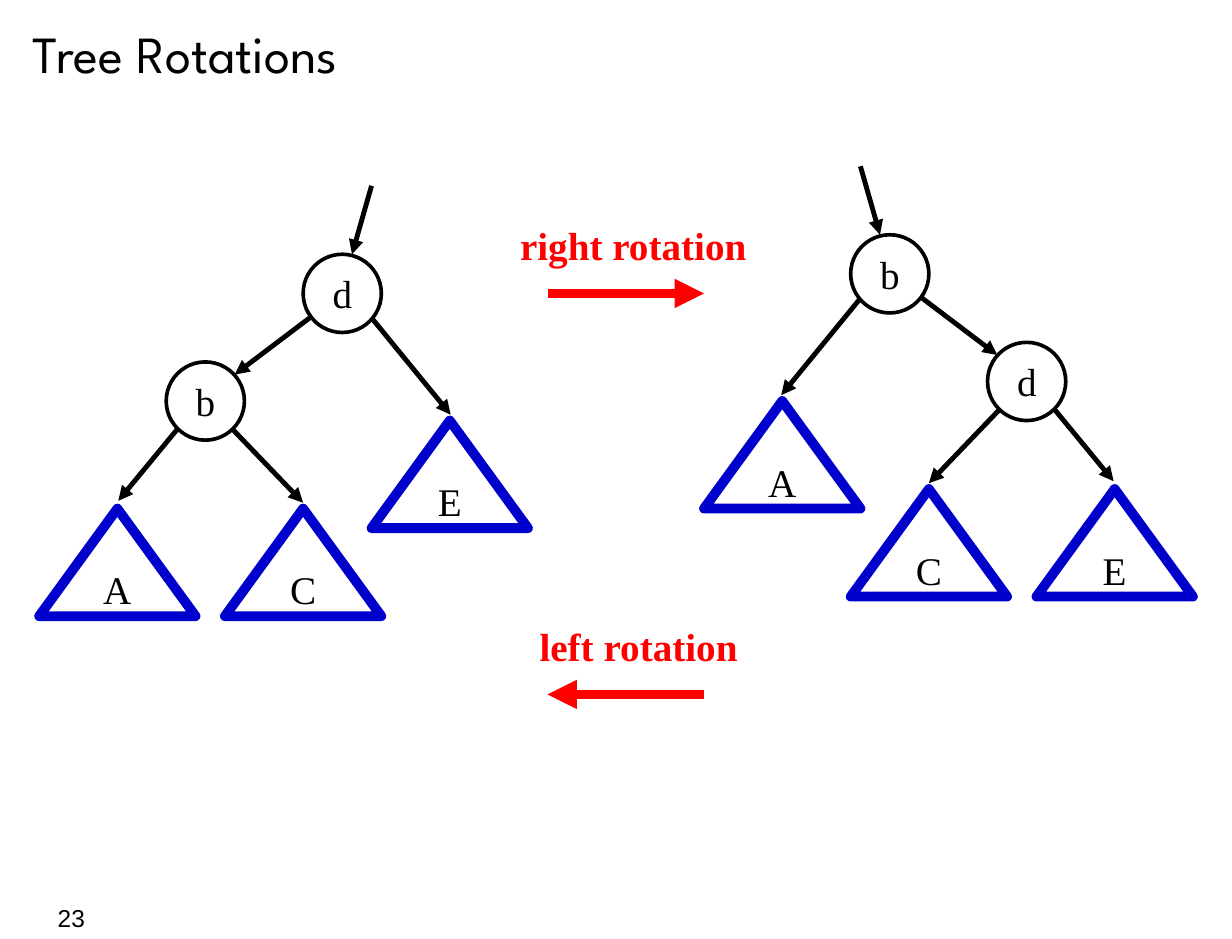
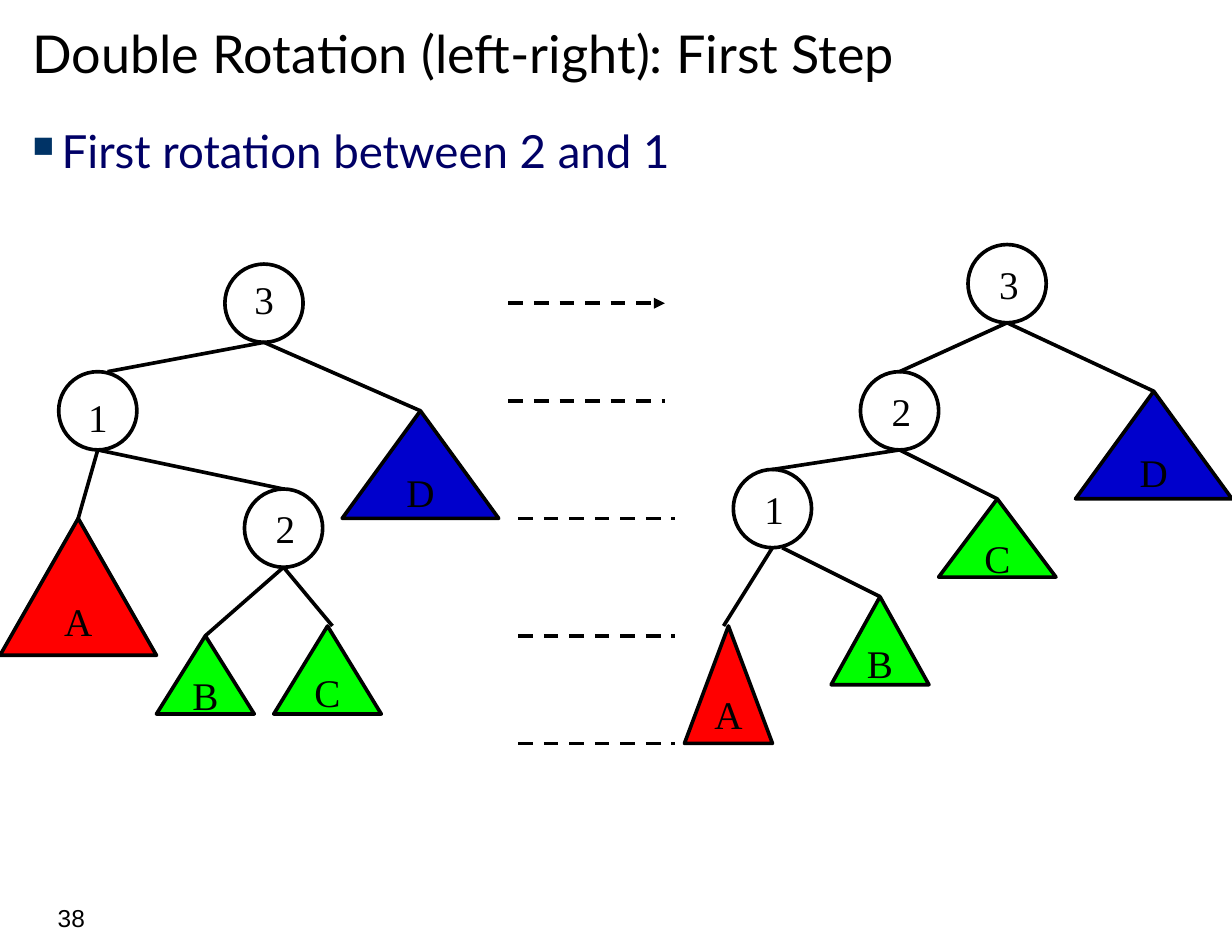
from dataclasses import dataclass, replace
from typing import Any

from lxml.etree import SubElement
from pptx import Presentation
from pptx.dml.color import RGBColor as RGB
from pptx.enum.dml import MSO_LINE_DASH_STYLE as Dash
from pptx.enum.shapes import MSO_CONNECTOR_TYPE as Link, MSO_SHAPE as Kind
from pptx.enum.text import MSO_ANCHOR as Anchor, MSO_AUTO_SIZE as Fit, PP_ALIGN as Align
from pptx.oxml.ns import qn
from pptx.util import Inches, Pt

# Grid: twelve columns and rows to the inch
COLS, ROWS = 126, 96
WIDTH, HEIGHT = Inches(10.5), Inches(8)

BLACK = RGB(0x00, 0x00, 0x00)
RED = RGB(0xFF, 0x00, 0x00)
GREEN = RGB(0x00, 0xFF, 0x00)
BLUE = RGB(0x00, 0x00, 0xCC)
NAVY = RGB(0x00, 0x00, 0x66)
TEAL = RGB(0x00, 0x33, 0x66)

SERIF = {"name": "Times New Roman", "size": Pt(24)}
STRONG = SERIF | {"bold": True}
SMALL = {"name": "Arial", "size": Pt(15)}
LOOSE = {"word_wrap": False, "auto_size": Fit.SHAPE_TO_FIT_TEXT}
PLAIN = {"word_wrap": True}
RING = 8  # width of a tree node


@dataclass(frozen=True)
class Node:
    label: str
    x: float
    y: float
    dx: float = 1.84  # place of the label inside the ring
    dy: float = 1


@dataclass(frozen=True)
class Leaf:
    label: str
    x: float
    y: float
    w: float = 16
    h: float = 11
    fill: RGB | None = None


@dataclass(frozen=True)
class Edge:
    x: float
    y: float
    x2: float
    y2: float


@dataclass(frozen=True)
class Tree:
    nodes: list[Node]
    leaves: list[Leaf]
    edges: list[Edge]


@dataclass(frozen=True)
class Pen:
    color: RGB = BLACK
    width: float = 2.25
    dash: bool = False
    arrow: bool = False


THIN, ARROW = Pen(), Pen(width=3, arrow=True)
THICK = Pen(BLUE, 6)
TURN = Pen(RED, 6, arrow=True)
DASHED = Pen(dash=True)


def col(n: float) -> int:
    return round(WIDTH * n / COLS)


def row(n: float) -> int:
    return round(HEIGHT * n / ROWS)


def area(x: float, y: float, w: float, h: float) -> tuple[int, int, int, int]:
    return col(x), row(y), col(w), row(h)


def apply(item: Any, values: dict[str, Any]) -> None:
    for name, value in values.items():
        setattr(item, name, value)


def write(shape: Any, text: str, font: dict[str, Any], color: RGB = BLACK,
          frame: dict[str, Any] = LOOSE, align: Align = Align.LEFT, inset: float = 0.1) -> Any:
    body = shape.text_frame
    sides = {"margin_left": Inches(inset), "margin_right": Inches(inset)}
    apply(body, frame | sides)
    para = body.paragraphs[0]
    para.alignment = align
    run = para.add_run()
    run.text = text
    apply(run.font, font)
    run.font.color.rgb = color
    return para


def stroke(line: Any, pen: Pen) -> None:
    line.color.rgb = pen.color
    line.width = Pt(pen.width)
    if pen.dash:
        line.dash_style = Dash.DASH


def draw_edge(shapes: Any, edge: Edge, pen: Pen) -> None:
    line = shapes.add_connector(Link.STRAIGHT, col(edge.x), row(edge.y), col(edge.x2), row(edge.y2))
    stroke(line.line, pen)
    if pen.arrow:
        SubElement(line.line._get_or_add_ln(), qn("a:tailEnd"), type="triangle")
    SubElement(line._element.spPr, qn("a:effectLst"))


def draw_form(shapes: Any, kind: Kind, box: tuple[int, int, int, int],
              pen: Pen, fill: RGB | None = None) -> Any:
    form = shapes.add_shape(kind, *box)
    form.shadow.inherit = False
    stroke(form.line, pen)
    if fill is None:
        form.fill.background()
    else:
        form.fill.solid()
        form.fill.fore_color.rgb = fill
    return form


def draw_tree(shapes: Any, tree: Tree, rim: Pen, link: Pen) -> None:
    for leaf in tree.leaves:
        box = area(leaf.x, leaf.y, leaf.w, leaf.h)
        form = draw_form(shapes, Kind.ISOSCELES_TRIANGLE, box, rim, leaf.fill)
        frame = {"word_wrap": False, "vertical_anchor": Anchor.MIDDLE}
        write(form, leaf.label, SERIF, frame=frame, align=Align.CENTER)
    for node in tree.nodes:
        draw_form(shapes, Kind.OVAL, area(node.x, node.y, RING, RING), THIN)
        spot = area(node.x + node.dx, node.y + node.dy, 4.32, 6)
        write(shapes.add_textbox(*spot), node.label, SERIF)
    for edge in tree.edges:
        draw_edge(shapes, edge, link)


def mirror(tree: Tree, names: dict[str, str], lift: float) -> Tree:
    """Flip a tree across the slide, raise it and rename its parts."""
    def flip(part: Any, width: float) -> Any:
        return replace(part, label=names.get(part.label, part.label),
                       x=COLS - part.x - width, y=part.y - lift)

    return Tree([flip(n, RING) for n in tree.nodes],
                [flip(f, f.w) for f in tree.leaves],
                [Edge(COLS - e.x, e.y - lift, COLS - e.x2, e.y2 - lift) for e in tree.edges])


def add_page(deck: Any, title: str, face: str, number: int) -> Any:
    shapes = deck.slides.add_slide(deck.slide_layouts[6]).shapes
    write(shapes.add_textbox(*area(0, 91.7, 10, 4.3)), str(number), SMALL,
          frame=PLAIN, align=Align.RIGHT, inset=0.11)
    write(shapes.add_textbox(*area(2, 0, 121.2, 10.7)), title, {"name": face, "size": Pt(32)},
          frame=PLAIN | {"vertical_anchor": Anchor.MIDDLE}, inset=0.11)
    return shapes


def add_point(shapes: Any, text: str) -> None:
    para = write(shapes.add_textbox(*area(2, 12, 121.2, 78.7)), text,
                 {"name": "Lato", "size": Pt(28)}, NAVY, PLAIN, inset=0.11)
    props = para._p.get_or_add_pPr()
    props.set("marL", str(Inches(0.25)))
    props.set("indent", str(-Inches(0.25)))
    SubElement(SubElement(props, qn("a:buClr")), qn("a:srgbClr"), val=str(TEAL))
    SubElement(props, qn("a:buSzPct"), val="65000")
    SubElement(props, qn("a:buChar"), char="■")


# Single rotation: the right tree mirrors the left one
SINGLE = Tree(
    [Node("d", 31, 26), Node("b", 17, 37)],
    [Leaf("E", 38, 43), Leaf("C", 23, 52), Leaf("A", 4, 52)],
    [Edge(23.8, 43.9, 31, 51.4), Edge(18.2, 43.8, 12.1, 51.2), Edge(31.8, 32.4, 24, 38.3),
     Edge(38, 32.5, 46.1, 42.4), Edge(38, 19, 36, 26)])
SWAP = {"d": "b", "b": "d", "A": "E", "E": "A"}

# Double rotation: before and after the first step
BEFORE = Tree(
    [Node("3", 23, 27, dy=0.6), Node("1", 6, 38, dy=1.6), Node("2", 25, 50, dx=2)],
    [Leaf("A", 0, 53, h=14, fill=RED), Leaf("D", 35, 42, fill=BLUE),
     Leaf("C", 28, 64, 11, 9, GREEN), Leaf("B", 16, 65, 10, 8, GREEN)],
    [Edge(10, 46, 8, 53), Edge(29, 50, 10, 46), Edge(27, 35, 11, 38),
     Edge(27, 35, 43, 42), Edge(29, 58, 21, 65), Edge(29, 58, 34, 64)])
AFTER = Tree(
    [Node("3", 99, 25, dx=2), Node("2", 88, 38, dx=2), Node("1", 75, 48, dx=2)],
    [Leaf("A", 70, 64, 9, 12, RED), Leaf("D", 110, 40, fill=BLUE),
     Leaf("B", 85, 61, 10, 9, GREEN), Leaf("C", 96, 51, 12, 8, GREEN)],
    [Edge(103, 33, 92, 38), Edge(103, 33, 118, 40), Edge(79, 56, 74, 64),
     Edge(80, 56, 90, 61), Edge(92, 46, 79, 48), Edge(92, 46, 102, 51)])


def add_single(deck: Any) -> None:
    shapes = add_page(deck, "Tree Rotations", "League Spartan", 23)
    turns = [("right rotation", (52, 22, 25.6, 6), Edge(56, 30, 72, 30)),
             ("left rotation", (54, 63, 22.7, 6), Edge(72, 71, 56, 71))]
    for text, box, edge in turns:
        draw_edge(shapes, edge, TURN)
        write(shapes.add_textbox(*area(*box)), text, STRONG, RED)
    for tree in (SINGLE, mirror(SINGLE, SWAP, 2)):
        draw_tree(shapes.add_group_shape().shapes, tree, THICK, ARROW)


def add_double(deck: Any) -> None:
    shapes = add_page(deck, "Double Rotation (left-right): First Step", "Lato", 38)
    add_point(shapes, "First rotation between 2 and 1")
    # Dashed level lines, the top one with an arrowhead
    for n, (x, y) in enumerate([(52, 31), (52, 41), (53, 53), (53, 65), (53, 76)]):
        draw_edge(shapes, Edge(x, y, x + 16, y), replace(DASHED, arrow=n == 0))
    for tree in (BEFORE, AFTER):
        draw_tree(shapes, tree, THIN, THIN)


def main() -> None:
    deck = Presentation()
    apply(deck, {"slide_width": WIDTH, "slide_height": HEIGHT})
    add_single(deck)
    add_double(deck)
    deck.save("out.pptx")


if __name__ == "__main__":
    main()
